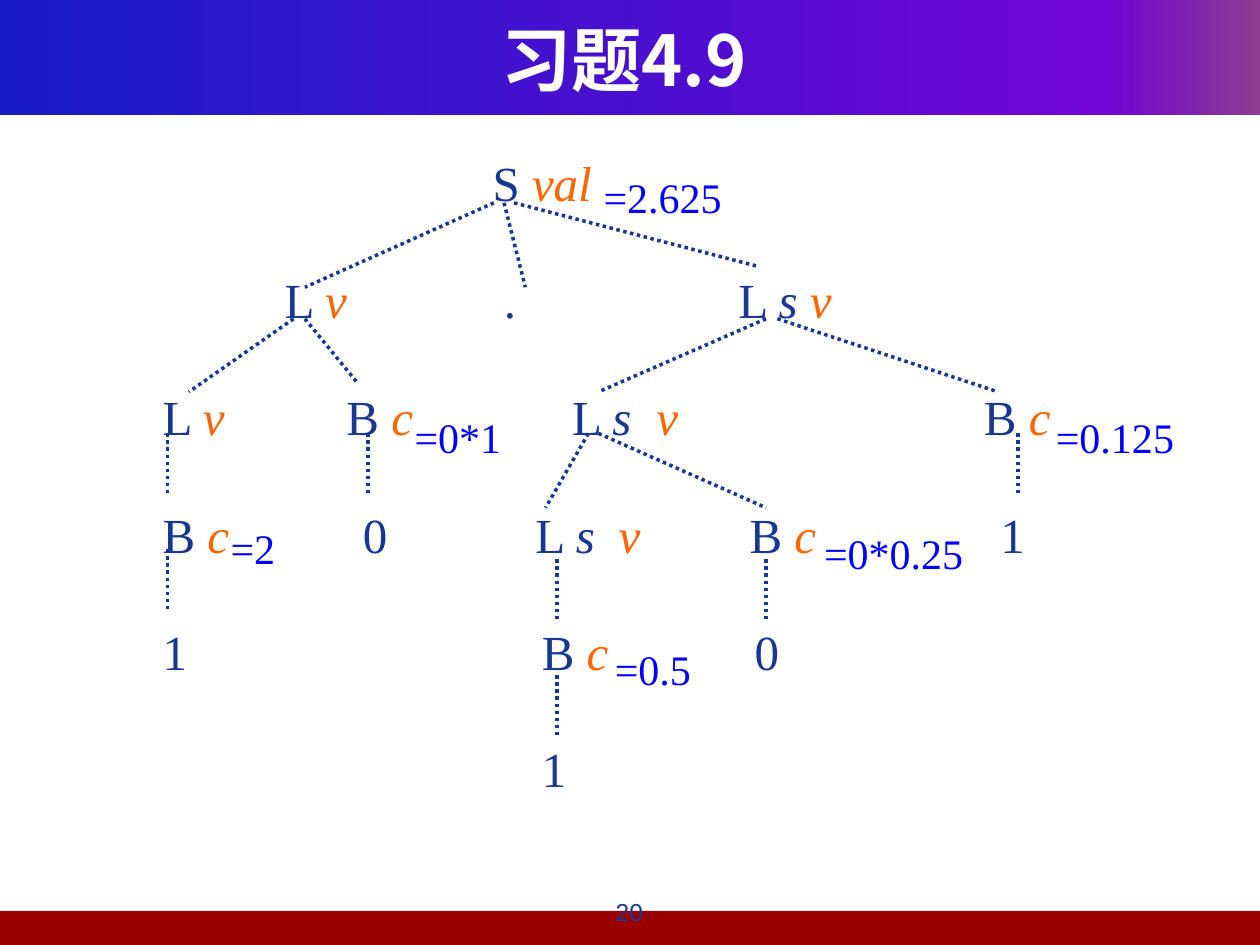
from copy import deepcopy

from pptx import Presentation
from pptx.dml.color import RGBColor
from pptx.enum.dml import MSO_LINE
from pptx.enum.shapes import MSO_CONNECTOR, MSO_SHAPE
from pptx.enum.text import PP_ALIGN
from pptx.oxml.ns import qn
from pptx.util import Inches, Pt

NAVY, ORANGE, BLUE, WHITE = "163794", "FF6600", "0000FF", "FFFFFF"
SERIF = "Times New Roman"
color = RGBColor.from_string

presentation = Presentation()
presentation.slide_width, presentation.slide_height = Inches(10), Inches(7.5)
slide = presentation.slides.add_slide(presentation.slide_layouts[6])
shapes = slide.shapes


def add_text(left, top, width, height, runs, size, font=SERIF, align=PP_ALIGN.LEFT):
    """Add one line without insets; each run is (text, colour, font attributes)."""
    frame = shapes.add_textbox(*map(Inches, (left, top, width, height))).text_frame
    for side in ("left", "top", "right", "bottom"):
        setattr(frame, f"margin_{side}", 0)
    frame.word_wrap = True
    paragraph = frame.paragraphs[0]
    paragraph.alignment = align
    for text, run_color, attributes in runs:
        run = paragraph.add_run()
        run.text = text
        run.font.color.rgb = color(run_color)
        for name, value in {"name": font, "size": Pt(size), **attributes}.items():
            setattr(run.font, name, value)
        east_asian = deepcopy(run.font._element.find(qn("a:latin")))
        east_asian.tag = qn("a:ea")
        run.font._element.append(east_asian)


# Header and footer bands
bands = []
for left, top, width, height in [(0, 0, 10, 0.91), (-0.04, 7.23, 10.04, 0.27)]:
    band = shapes.add_shape(MSO_SHAPE.RECTANGLE, *map(Inches, (left, top, width, height)))
    band.shadow.inherit = False
    band.line.fill.background()
    bands.append(band)
header, footer = bands
footer.fill.solid()
footer.fill.fore_color.rgb = color("990000")

header.fill.gradient()
header.fill.gradient_angle = 0
stop_list = header.fill._fill._gradFill.find(qn("a:gsLst"))
stop_list.append(deepcopy(stop_list[-1]))
header_stops = [(0, "181CC7"), (0.88, "7005D4"), (1, "8C3D91")]
for stop, (position, stop_color) in zip(header.fill.gradient_stops, header_stops):
    stop.position = position
    stop.color.rgb = color(stop_color)

add_text(3.83, 7.12, 2.33, 0.25, [("20", NAVY, {})], 14, "Arial", PP_ALIGN.CENTER)

# Parse tree: per level, (left, symbol, inherited attribute, synthesized attribute)
ROW_TOP, ROW_PITCH = 1.21, 0.93
levels = [
    [(3.91, "S ", "", "val")],
    [(2.26, "L ", "", "v"), (4, ".", "", ""), (5.86, "L ", "s ", "v")],
    [(1.29, "L ", "", "v"), (2.75, "B ", "", "c"), (4.54, "L ", "s", ""),
     (5.21, "", "", "v"), (7.81, "B ", "", "c")],
    [(1.29, "B ", "", "c"), (2.88, "0", "", ""), (4.25, "L ", "s", ""),
     (4.91, "", "", "v"), (5.95, "B ", "", "c"), (7.94, "1", "", "")],
    [(1.29, "1", "", ""), (4.3, "B ", "", "c"), (5.99, "0", "", "")],
    [(4.3, "1", "", "")],
]
for row, nodes in enumerate(levels):
    for left, symbol, inherited, synthesized in nodes:
        parts = [
            (symbol, NAVY, {}),
            (inherited, NAVY, {"italic": True}),
            (synthesized, ORANGE, {"italic": True}),
        ]
        runs = [part for part in parts if part[0]]
        add_text(left, ROW_TOP + row * ROW_PITCH, 1, 0.45, runs, 28)

branches = [
    (3.92, 1.61, 2.42, 2.28), (4, 1.61, 4.17, 2.28), (4.08, 1.61, 6, 2.11),
    (2.33, 2.53, 1.5, 3.11), (2.42, 2.53, 2.83, 3.03),
    (6.08, 2.53, 4.75, 3.11), (6.17, 2.53, 7.92, 3.11),
    (4.67, 3.44, 4.33, 4.03), (4.75, 3.44, 6.08, 4.03),
]
stems = [(1.33, 3.44), (2.92, 3.44), (8.08, 3.44), (1.33, 4.36),
         (4.42, 4.44), (6.08, 4.44), (4.42, 5.36)]
branches += [(x, top, x, top + 0.5) for x, top in stems]
for ends in branches:
    branch = shapes.add_connector(MSO_CONNECTOR.STRAIGHT, *map(Inches, ends))
    branch.line.color.rgb = color(NAVY)
    branch.line.width = Pt(2)
    branch.line.dash_style = MSO_LINE.ROUND_DOT
    properties = branch._element.spPr
    properties.append(properties.makeelement(qn("a:effectLst"), {}))

# Computed attribute values
values = [
    (4.79, 1.36, "=2.625"), (3.29, 3.27, "=0*1"), (8.38, 3.27, "=0.125"),
    (1.83, 4.15, "=2"), (6.54, 4.19, "=0*0.25"), (4.88, 5.11, "=0.5"),
]
for left, top, value in values:
    add_text(left, top, 1.2, 0.4, [(value, BLUE, {})], 24)

add_text(0.33, 0.13, 9.25, 0.62, [("习题4.9", WHITE, {"bold": True})], 40,
         "Noto Sans CJK SC", PP_ALIGN.CENTER)

presentation.save("out.pptx")
